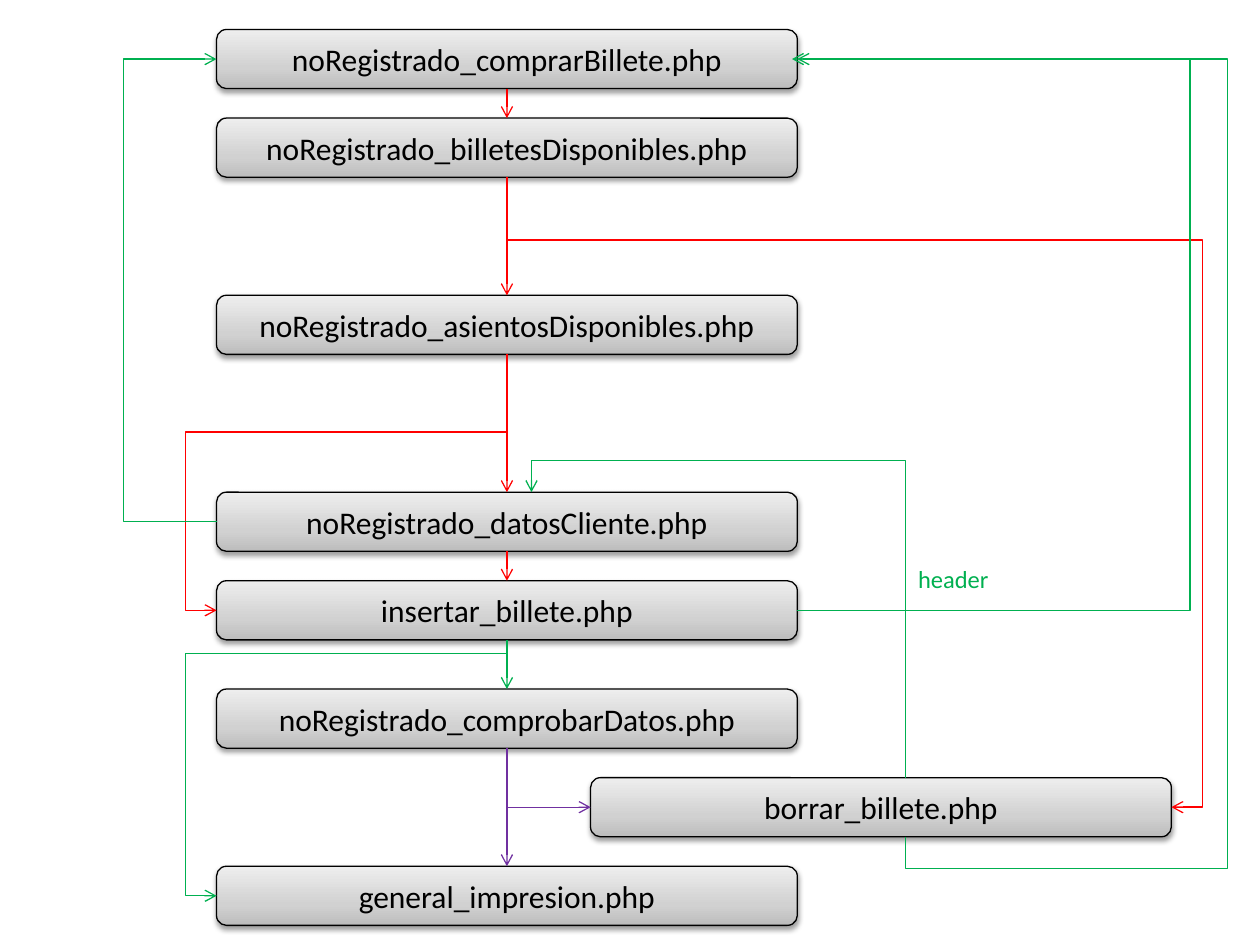
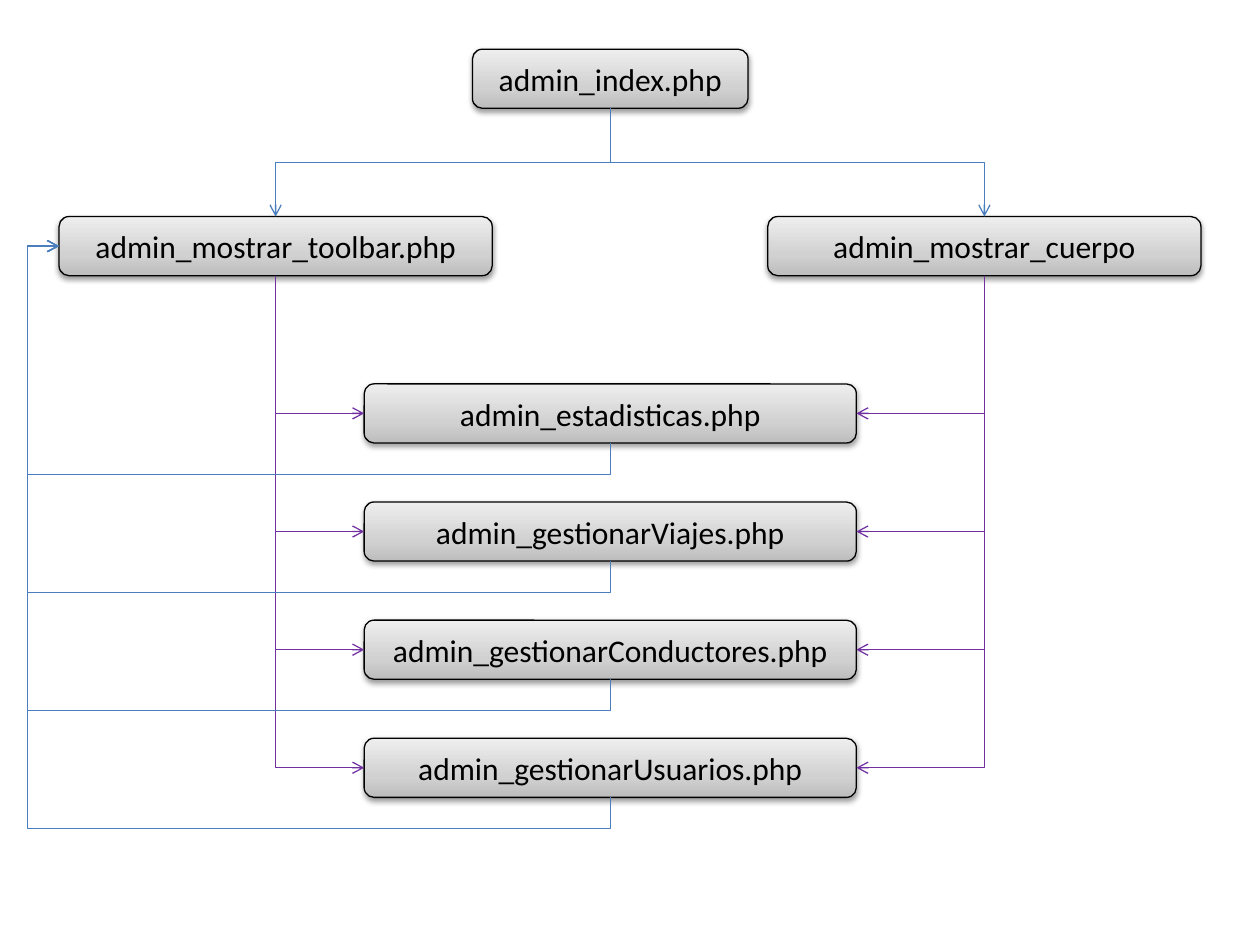
from lxml.etree import SubElement
from pptx import Presentation
from pptx.dml.color import RGBColor
from pptx.enum.shapes import MSO_CONNECTOR as Connector, MSO_SHAPE as Shape
from pptx.enum.text import MSO_ANCHOR as Anchor, MSO_AUTO_SIZE as AutoSize, PP_ALIGN as Align
from pptx.oxml.ns import qn
from pptx.util import Pt

COLORS = {
    "text": "000000",
    "outline": "000000",
    "forward": "FF0000",
    "back": "00B050",
    "link": "7030A0",
    "menu": "4B7EBC",
}
BOX_GRADIENT = ((0, "BDBDBD"), (35, "D1D1D1"), (100, "EEEEEE"))
FONT = "Calibri"
BOX_HEIGHT = 33.75
LINE_WIDTH = Pt(0.75)
MIN_SPAN = Pt(0.17)  # bends are fractions of the span, so it cannot be zero
GAP = Pt(18)         # distance between a box and a line that runs round it

# Side of a box: connection site, and place as a fraction of width and height
SIDES = {
    "top": (0, 0.5, 0),
    "left": (1, 0, 0.5),
    "bottom": (2, 0.5, 1),
    "right": (3, 1, 0.5),
}
DIRECTIONS = {0: (1, 0), 90: (0, 1), 180: (-1, 0), 270: (0, -1)}


def color(name):
    return RGBColor.from_string(COLORS[name])


def apply_format(target, values):
    for name, value in values.items():
        setattr(target, name, value)


def add_xml(parent, tag, **attributes):
    texts = {name: str(value) for name, value in attributes.items()}
    return SubElement(parent, qn(tag), texts)


def write(shape, text, size, color_name, align):
    paragraph = shape.text_frame.paragraphs[0]
    paragraph.alignment = align
    run = paragraph.add_run()
    run.text = text
    apply_format(run.font, {"name": FONT, "size": Pt(size)})
    run.font.color.rgb = color(color_name)


# Boxes and labels

def fill_gradient(shape):
    shape.fill.gradient()
    shape.fill.gradient_angle = 90
    stops = shape.element.spPr.find(qn("a:gradFill")).find(qn("a:gsLst"))
    for stop in list(stops):
        stops.remove(stop)
    for position, value in BOX_GRADIENT:
        stop = add_xml(stops, "a:gs", pos=position * 1000)
        add_xml(stop, "a:srgbClr", val=value)


def add_shadow(shape):
    shape.shadow.inherit = False
    effects = shape.element.spPr.find(qn("a:effectLst"))
    shadow = add_xml(effects, "a:outerShdw", blurRad=Pt(3.1), dist=Pt(1.6),
                     dir=90 * 60000, rotWithShape=0)
    shade = add_xml(shadow, "a:srgbClr", val="000000")
    add_xml(shade, "a:alpha", val=38000)


def add_box(slide, text, left, top, width):
    shape = slide.shapes.add_shape(
        Shape.ROUNDED_RECTANGLE, Pt(left), Pt(top), Pt(width), Pt(BOX_HEIGHT))
    fill_gradient(shape)
    shape.line.color.rgb = color("outline")
    shape.line.width = LINE_WIDTH
    add_shadow(shape)
    shape.text_frame.vertical_anchor = Anchor.MIDDLE
    write(shape, text, 18, "text", Align.CENTER)
    return shape


def add_label(slide, text, left, top, width, height, color_name):
    label = slide.shapes.add_textbox(Pt(left), Pt(top), Pt(width), Pt(height))
    apply_format(label.text_frame,
                 {"word_wrap": True, "auto_size": AutoSize.SHAPE_TO_FIT_TEXT})
    write(label, text, 14, color_name, Align.LEFT)


# Arrows

def side_point(box, side, shift):
    _, across, down = SIDES[side]
    return (box.left + int(box.width * across) + Pt(shift),
            box.top + int(box.height * down))


def choose_angle(vertical, first_move, delta_x):
    if vertical:
        return 270 if delta_x > 0 or first_move < 0 else 90
    return 180 if first_move < 0 else 0


def add_arrow(slide, start, end, color_name, turns=(), shifts=(0, 0)):
    """Join two (box, side) ends; turns are the coordinates of the bends,
    alternating between the axis of the first segment and the other one."""
    begin = side_point(*start, shifts[0])
    finish = side_point(*end, shifts[1])
    delta = [finish[0] - begin[0], finish[1] - begin[1]]
    vertical = start[1] in ("top", "bottom")
    first, second = (1, 0) if vertical else (0, 1)
    straight = not turns and delta[second] == 0

    connector = slide.shapes.add_connector(
        Connector.STRAIGHT if straight else Connector.ELBOW, *begin, *finish)
    if shifts[0] == 0:
        connector.begin_connect(start[0], SIDES[start[1]][0])
    if shifts[1] == 0:
        connector.end_connect(end[0], SIDES[end[1]][0])
    if not straight:
        first_move = turns[0] - begin[first] if turns else delta[first]
        angle = choose_angle(vertical, first_move, delta[0])
        bend(connector, begin, delta, angle, (first, second), turns)

    connector.line.color.rgb = color(color_name)
    connector.line.width = LINE_WIDTH
    properties = connector.element.spPr
    add_xml(properties.find(qn("a:ln")), "a:tailEnd", type="arrow")
    add_xml(properties, "a:effectLst")


def bend(connector, begin, delta, angle, axes, turns):
    """Turn the frame of the connector to its first segment and place the bends."""
    along = DIRECTIONS[angle]
    across = (-along[1], along[0])
    spans = [delta[axis] * direction[axis] or MIN_SPAN
             for axis, direction in zip(axes, (along, across))]
    width, height = (abs(span) for span in spans)
    apply_format(connector, {
        "left": int(begin[0] + (delta[0] - width) / 2),
        "top": int(begin[1] + (delta[1] - height) / 2),
        "width": width,
        "height": height,
    })
    frame = connector.element.spPr.find(qn("a:xfrm"))
    frame.set("rot", str(angle * 60000))
    frame.set("flipH", str(int(spans[0] < 0)))
    frame.set("flipV", str(int(spans[1] < 0)))

    geometry = connector.element.spPr.find(qn("a:prstGeom"))
    geometry.set("prst", f"bentConnector{len(turns) + 2}")
    guides = geometry.find(qn("a:avLst"))
    if guides is None:
        guides = add_xml(geometry, "a:avLst")
    parts = zip(turns, axes, (along, across), spans)
    for number, (turn, axis, direction, span) in enumerate(parts, 1):
        share = (turn - begin[axis]) * direction[axis] / span
        add_xml(guides, "a:gd", name=f"adj{number}",
                fmla=f"val {round(share * 100000)}")


# Slides

def build_purchase_slide(slide):
    left, width = 123.75, 331.88
    rows = (
        ("noRegistrado_comprarBillete.php", 16.88),
        ("noRegistrado_billetesDisponibles.php", 67.5),
        ("noRegistrado_asientosDisponibles.php", 168.75),
        ("noRegistrado_datosCliente.php", 281.25),
        ("insertar_billete.php", 331.88),
        ("noRegistrado_comprobarDatos.php", 393.75),
        ("general_impresion.php", 495),
    )
    boxes = [add_box(slide, text, left, top, width) for text, top in rows]
    buy, tickets, seats, client, insert, check, printing = boxes
    delete = add_box(slide, "borrar_billete.php", 337.5, 444.38, width)

    # Steps down the column
    step_colors = ["forward"] * 4 + ["back", "link"]
    for upper, lower, step_color in zip(boxes, boxes[1:], step_colors):
        add_arrow(slide, (upper, "bottom"), (lower, "top"), step_color)

    # Branches
    outer_left = buy.left - GAP
    add_arrow(slide, (seats, "bottom"), (insert, "left"), "forward",
              (Pt(247), outer_left))
    add_arrow(slide, (insert, "bottom"), (printing, "left"), "back",
              (Pt(373.5), outer_left))
    add_arrow(slide, (check, "bottom"), (delete, "left"), "link")
    add_arrow(slide, (tickets, "bottom"), (delete, "right"), "forward",
              (Pt(137.25), delete.left + delete.width + GAP))

    # Returns
    add_arrow(slide, (delete, "top"), (client, "top"), "back",
              (client.top - GAP,), (14, 14))
    add_arrow(slide, (delete, "bottom"), (buy, "right"), "back",
              (delete.top + delete.height + GAP, Pt(701.5)), (14, -3))
    add_arrow(slide, (client, "left"), (buy, "left"), "back", (Pt(70.5),))
    add_arrow(slide, (insert, "right"), (buy, "right"), "back", (Pt(680),))
    add_label(slide, "header", 517.5, 319, 112.5, 24.25, "back")


def build_admin_slide(slide):
    index = add_box(slide, "admin_index.php", 270, 28.12, 157.5)
    body = add_box(slide, "admin_mostrar_cuerpo", 438.75, 123.75, 247.5)
    toolbar = add_box(slide, "admin_mostrar_toolbar.php", 33.75, 123.75, 247.5)
    names = ("estadisticas", "gestionarViajes",
             "gestionarConductores", "gestionarUsuarios")
    pages = [add_box(slide, f"admin_{name}.php", 208.12, 219.38 + 67.5 * row, 281.25)
             for row, name in enumerate(names)]

    middle = (index.top + index.height + toolbar.top) // 2
    for target in (toolbar, body):
        add_arrow(slide, (index, "bottom"), (target, "top"), "menu", (middle,))
    for source, side in ((toolbar, "left"), (body, "right")):
        for page in pages:
            add_arrow(slide, (source, "bottom"), (page, side), "link")
    for page in pages:
        add_arrow(slide, (page, "bottom"), (toolbar, "left"), "menu",
                  (page.top + page.height + GAP, toolbar.left - GAP))


def main():
    presentation = Presentation()
    apply_format(presentation, {"slide_width": Pt(720), "slide_height": Pt(540)})
    blank = presentation.slide_layouts[6]
    for build in (build_purchase_slide, build_admin_slide):
        build(presentation.slides.add_slide(blank))
    presentation.save("out.pptx")


if __name__ == "__main__":
    main()
